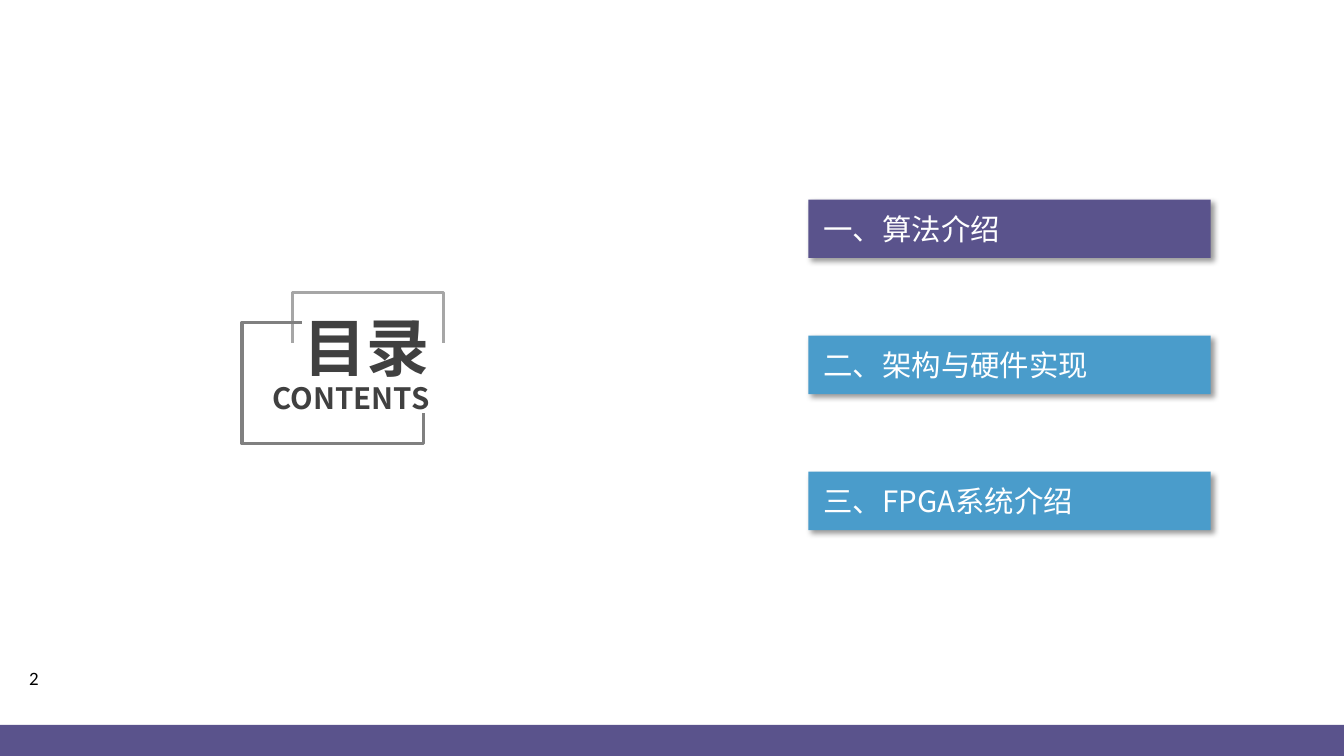
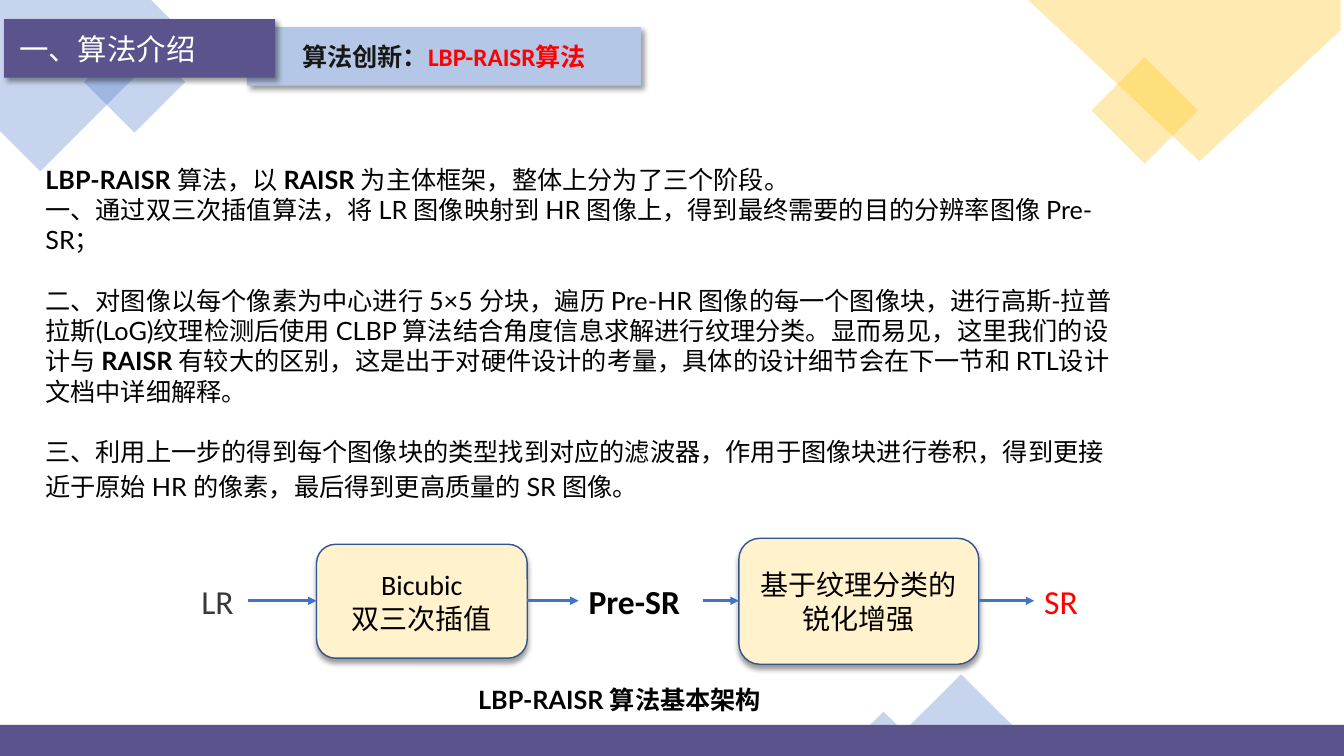
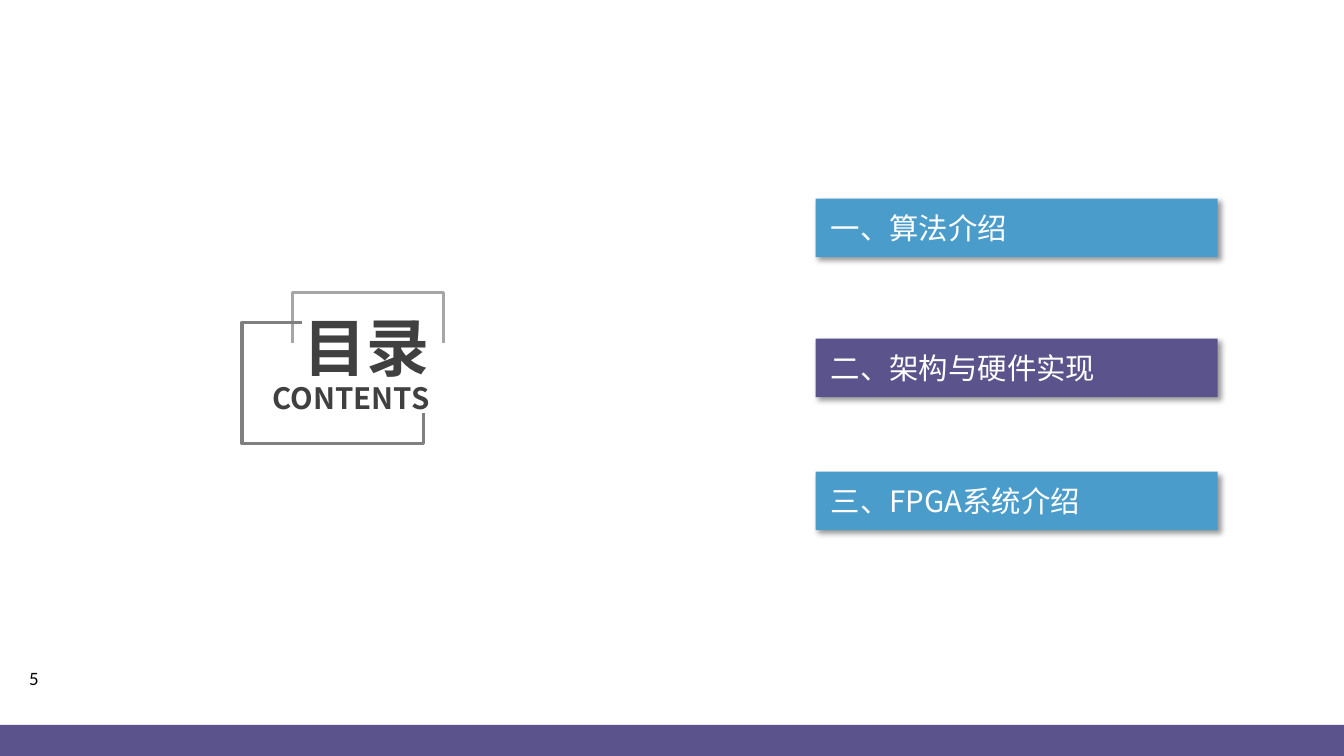
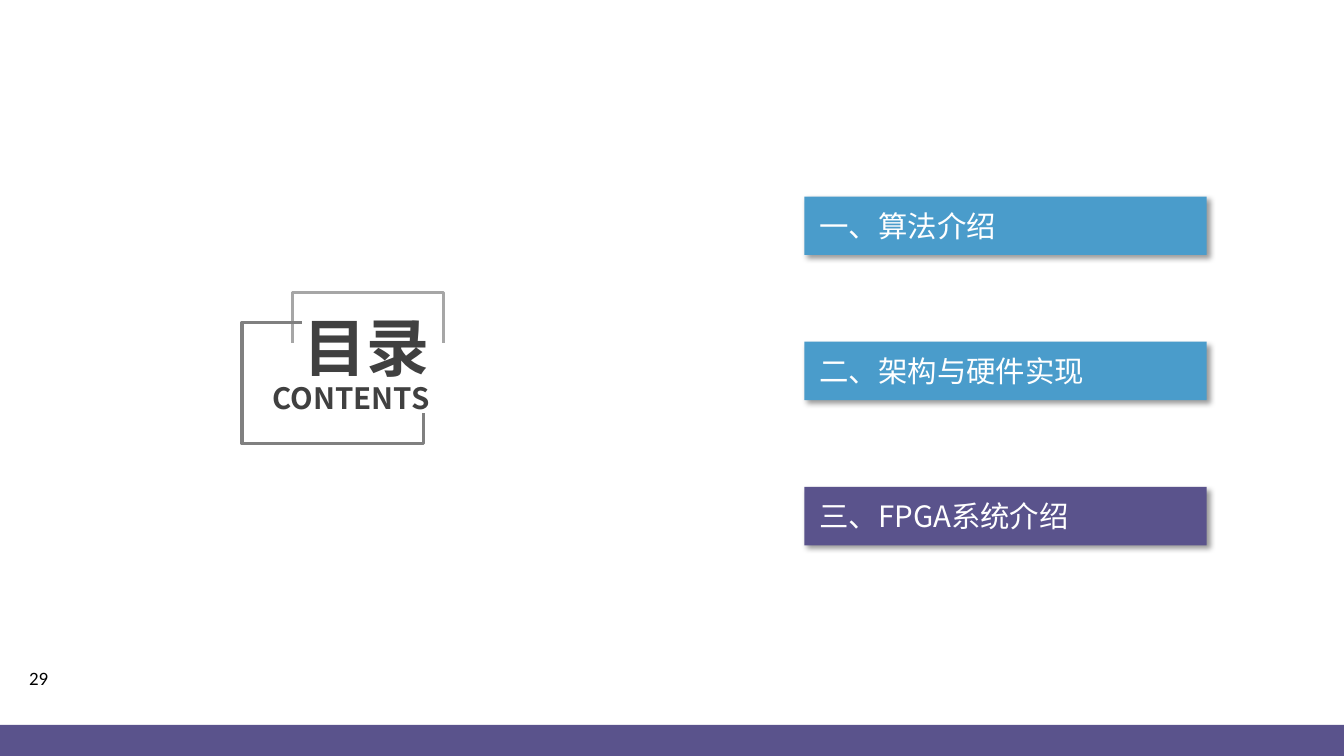
from lxml import etree
from pptx import Presentation
from pptx.dml.color import RGBColor
from pptx.enum.shapes import MSO_CONNECTOR, MSO_SHAPE
from pptx.enum.text import MSO_ANCHOR, MSO_AUTO_SIZE, PP_ALIGN
from pptx.oxml.ns import qn
from pptx.util import Inches, Pt

RECTANGLE, ROUNDED, TRIANGLE = (
    MSO_SHAPE.RECTANGLE, MSO_SHAPE.ROUNDED_RECTANGLE, MSO_SHAPE.ISOSCELES_TRIANGLE)
STRAIGHT = MSO_CONNECTOR.STRAIGHT
TOP, MIDDLE = MSO_ANCHOR.TOP, MSO_ANCHOR.MIDDLE
LEFT, CENTER, RIGHT = PP_ALIGN.LEFT, PP_ALIGN.CENTER, PP_ALIGN.RIGHT
NO_AUTOSIZE = MSO_AUTO_SIZE.NONE

# The grid: square cells, 133.33 columns by 75 rows
CELL = Inches(0.1)
COLUMNS, ROWS = 133.33, 75
BAND_ROW = 71.9
CONTENT_LAYOUT, TITLE_LAYOUT = 1, 5

CJK, LATIN, PLAIN = "Noto Sans CJK SC", "Lato", "Calibri"
COLORS = {
    "purple": "5A538C", "sky": "4A9CCB", "pale": "B4C7E7", "cream": "FFF2CC",
    "blue": "4472C4", "navy": "325491", "gold": "FFC000", "red": "FF0000",
    "white": "FFFFFF", "black": "000000", "ink": "181717", "charcoal": "404040",
    "graphite": "3B3838", "gray": "808080", "silver": "A6A6A6",
}

SECTIONS = ["一、算法介绍", "二、架构与硬件实现", "三、FPGA系统介绍"]
SECTION_STYLE = {"size": 21, "color": "white", "font": CJK, "anchor": MIDDLE, "inset": 1.5}

# Page number, active section, left column and top rows of the bars
OPENING = ("2", 0, 80.2, (19.8, 33.3, 46.8))
DIVIDERS = [
    ("5", 1, 80.9, (19.7, 33.6, 46.8)),
    ("29", 2, 79.8, (19.5, 33.9, 48.3)),
]

BOLD = {"bold": True}
STAGES = [
    [("LBP-RAISR ", BOLD), ("算法，以 ", {}), ("RAISR ", BOLD),
     ("为主体框架，整体上分为了三个阶段。", {})],
    [("一、通过双三次插值算法，将 LR 图像映射到 HR 图像上，"
      "得到最终需要的目的分辨率图像 Pre-SR；", {})],
    [("二、对图像以每个像素为中心进行 5×5 分块，遍历 Pre-HR 图像的每一个图像块，"
      "进行高斯-拉普拉斯(LoG)纹理检测后使用 CLBP 算法结合角度信息求解进行纹理分类。"
      "显而易见，这里我们的设计与 ", {}), ("RAISR ", BOLD),
     ("有较大的区别，这是出于对硬件设计的考量，"
      "具体的设计细节会在下一节和 RTL设计文档中详细解释。", {})],
    [("三、利用上一步的得到每个图像块的类型找到对应的滤波器，作用于图像块进行卷积，"
      "得到更接近于原始 HR 的像素，最后得到更高质量的 SR 图像。", {})],
]


def cells(*counts):
    return [round(count * CELL) for count in counts]


class Deck:
    """Holds the shared style and the current page."""

    def __init__(self):
        self.show = Presentation()
        self.show.slide_width, self.show.slide_height = cells(COLUMNS, ROWS)
        self.page = None

    def new_page(self, layout):
        self.page = self.show.slides.add_slide(self.show.slide_layouts[layout])

    def band(self):
        self.shape(RECTANGLE, (0, BAND_ROW, COLUMNS, ROWS - BAND_ROW), fill="purple")

    # Fill, line and shadow
    def paint(self, shape, fill=None, line=None, weight=1, opacity=None, shadow=None):
        if fill:
            shape.fill.solid()
            shape.fill.fore_color.rgb = RGBColor.from_string(COLORS[fill])
        else:
            shape.fill.background()
        if opacity:
            color = shape.element.spPr.find(qn("a:solidFill"))[0]
            etree.SubElement(color, qn("a:alpha"), val=str(opacity * 1000))
        if line:
            shape.line.color.rgb = RGBColor.from_string(COLORS[line])
            shape.line.width = Pt(weight)
        else:
            shape.line.fill.background()
        shape.shadow.inherit = False
        if shadow:
            effects = shape.element.spPr.find(qn("a:effectLst"))
            outer = etree.SubElement(
                effects, qn("a:outerShdw"), blurRad=str(Pt(4)), dist=str(Pt(3)),
                dir=str(shadow * 60000), algn="ctr", rotWithShape="0")
            color = etree.SubElement(outer, qn("a:srgbClr"), val=COLORS["black"])
            etree.SubElement(color, qn("a:alpha"), val="40000")

    # Text: each paragraph is a list of (words, changes to the style)
    def set_text(self, shape, paragraphs, size=18, color="black", font=PLAIN, bold=False,
                 align=LEFT, anchor=TOP, inset=1, wrap=True):
        frame = shape.text_frame
        left, top = cells(inset, 0.5)
        settings = {"word_wrap": wrap, "auto_size": NO_AUTOSIZE, "vertical_anchor": anchor,
                    "margin_left": left, "margin_right": CELL,
                    "margin_top": top, "margin_bottom": top}
        for name, value in settings.items():
            setattr(frame, name, value)
        base = {"size": size, "color": color, "font": font, "bold": bold}
        for index, spans in enumerate(paragraphs):
            para = frame.add_paragraph() if index else frame.paragraphs[0]
            tallest = max(changes.get("size", size) for _, changes in spans)
            layout = {"alignment": align, "line_spacing": Pt(tallest * 1.2),
                      "space_before": Pt(0), "space_after": Pt(0)}
            for name, value in layout.items():
                setattr(para, name, value)
            for words, changes in spans:
                self.span(para, words, {**base, **changes})

    def span(self, para, words, style):
        span = para.add_run()
        span.text = words
        formats = {"size": Pt(style["size"]), "bold": style["bold"], "name": style["font"]}
        for name, value in formats.items():
            setattr(span.font, name, value)
        span.font.color.rgb = RGBColor.from_string(COLORS[style["color"]])
        etree.SubElement(span.font._element, qn("a:ea"), typeface=CJK)

    # Elements
    def shape(self, kind, place, rotation=0, **look):
        shape = self.page.shapes.add_shape(kind, *cells(*place))
        shape.rotation = rotation
        self.paint(shape, **look)
        return shape

    def outline(self, points, close=False, **look):
        builder = self.page.shapes.build_freeform(*points[0], scale=float(CELL))
        builder.add_line_segments(points[1:], close=close)
        self.paint(builder.convert_to_shape(), **look)

    def label(self, place, words, **style):
        box = self.page.shapes.add_textbox(*cells(*place))
        self.set_text(box, [[(words, {})]], **style)

    def arrow(self, start, end, row):
        arrow = self.page.shapes.add_connector(STRAIGHT, *cells(start, row, end, row))
        arrow.line.color.rgb = RGBColor.from_string(COLORS["blue"])
        arrow.line.width = Pt(2)
        properties = arrow.element.spPr
        etree.SubElement(properties.find(qn("a:ln")), qn("a:tailEnd"), type="triangle")
        etree.SubElement(properties, qn("a:effectLst"))

    def place(self, holder, place):
        for name, value in zip(("left", "top", "width", "height"), cells(*place)):
            setattr(holder, name, value)

    def bring_to_front(self, shape):
        shape.element.getparent().append(shape.element)

    def title(self, place, paragraphs, **style):
        title = self.page.shapes.title
        self.place(title, place)
        self.set_text(title, paragraphs, **style)
        self.bring_to_front(title)
        return title

    def body(self, place, paragraphs, **style):
        body = self.page.placeholders[1]
        self.place(body, place)
        self.set_text(body, paragraphs, **style)
        self.bring_to_front(body)
        for para in body.text_frame.paragraphs:
            properties = para._p.get_or_add_pPr()
            properties.set("marL", "0")
            properties.set("indent", "0")
            etree.SubElement(properties, qn("a:buNone"))
        return body


def contents_page(deck, number, active, left, tops):
    deck.new_page(TITLE_LAYOUT)
    deck.label((1.9, 65.6, 4.3, 3.3), number, size=13.5, wrap=False)

    # Section bars
    for index, (section, top) in enumerate(zip(SECTIONS, tops)):
        fill = "purple" if index == active else "sky"
        bar = deck.shape(RECTANGLE, (left, top, 39.9, 5.8), fill=fill, shadow=45)
        deck.set_text(bar, [[(section, {})]], **SECTION_STYLE)

    # Heading in its open frames
    heading = deck.title((17.5, 29.6, 26.1, 12.1),
                         [[("目录", {"size": 45})], [("CONTENTS", {})]],
                         size=21, color="charcoal", font=CJK, bold=True, align=RIGHT)
    for para, spacing in zip(heading.text_frame.paragraphs, (58, 22)):
        para.line_spacing = Pt(spacing)
    deck.outline([(29.3, 33.7), (29.3, 29.3), (44.4, 29.3), (44.4, 33.7)],
                 line="silver", weight=2.5)
    deck.outline([(42.5, 41.1), (42.5, 44.2), (23.6, 44.2), (23.6, 32), (30.4, 32)],
                 line="gray", weight=2.5)
    deck.band()


def algorithm_page(deck):
    deck.new_page(CONTENT_LAYOUT)

    # Corner decoration
    blue, gold = ({"fill": color, "opacity": 30} for color in ("blue", "gold"))
    deck.outline([(15.3, 0), (0, 0), (0, 13), (4.1, 17.1), (18.3, 3)], close=True, **blue)
    deck.shape(RECTANGLE, (9.8, 4.6, 7.1, 7.1), rotation=45, **blue)
    deck.shape(RECTANGLE, (109.8, 7.2, 7.5, 7.5), rotation=45, **gold)
    deck.outline([(COLUMNS, 0), (102.3, 0), (119.3, 16.2), (COLUMNS, 2.8)],
                 close=True, **gold)
    deck.shape(TRIANGLE, (87.2, 66.9, 16.3, 8.1), **blue)
    deck.shape(TRIANGLE, (83.2, 70.6, 8.9, 4.4), **blue)
    deck.band()

    # Three stages
    body = deck.body((3.5, 15.8, 108.4, 34.8), STAGES, font=LATIN)
    stages = body.text_frame.paragraphs
    stages[2].space_before = Pt(21.6)
    stages[3].space_before = Pt(18)
    stages[3].line_spacing = Pt(25.2)

    # Processing chain
    steps = [((31.4, 54, 20.9, 11.3), ["Bicubic", "双三次插值"]),
             ((73.3, 53.4, 23.8, 12.5), ["基于纹理分类的锐化增强"])]
    for place, lines in steps:
        step = deck.shape(ROUNDED, place, fill="cream", line="navy", shadow=90)
        deck.set_text(step, [[(line, {})] for line in lines], size=20,
                      align=CENTER, anchor=MIDDLE)
    signals = [(19, 5.6, "LR", "graphite", False), (57.4, 12.3, "Pre-SR", "black", True),
               (102.6, 6.4, "SR", "red", False)]
    for left, width, words, color, bold in signals:
        deck.label((left, 57.1, width, 5), words, size=24, color=color, bold=bold)
    for start, end in [(24.6, 31.4), (52.3, 57.4), (69.7, 73.3), (97.1, 102.6)]:
        deck.arrow(start, end, 59.6)
    deck.label((40.3, 67.4, 42.9, 4), "LBP-RAISR 算法基本架构 ",
               font=LATIN, bold=True, align=CENTER)

    # Heading tabs
    topic = deck.shape(RECTANGLE, (24.5, 2.7, 39.1, 5.8), fill="pale", shadow=45)
    deck.set_text(topic, [[("算法创新：", {}), ("LBP-RAISR算法", {"color": "red"})]],
                  color="ink", bold=True, align=CENTER, anchor=MIDDLE)
    title = deck.title((0.4, 1.9, 26.9, 5.8), [[(SECTIONS[0], {})]], **SECTION_STYLE)
    deck.paint(title, fill="purple", shadow=45)


def main():
    deck = Deck()
    contents_page(deck, *OPENING)
    algorithm_page(deck)
    for divider in DIVIDERS:
        contents_page(deck, *divider)
    deck.show.save("out.pptx")


if __name__ == "__main__":
    main()
